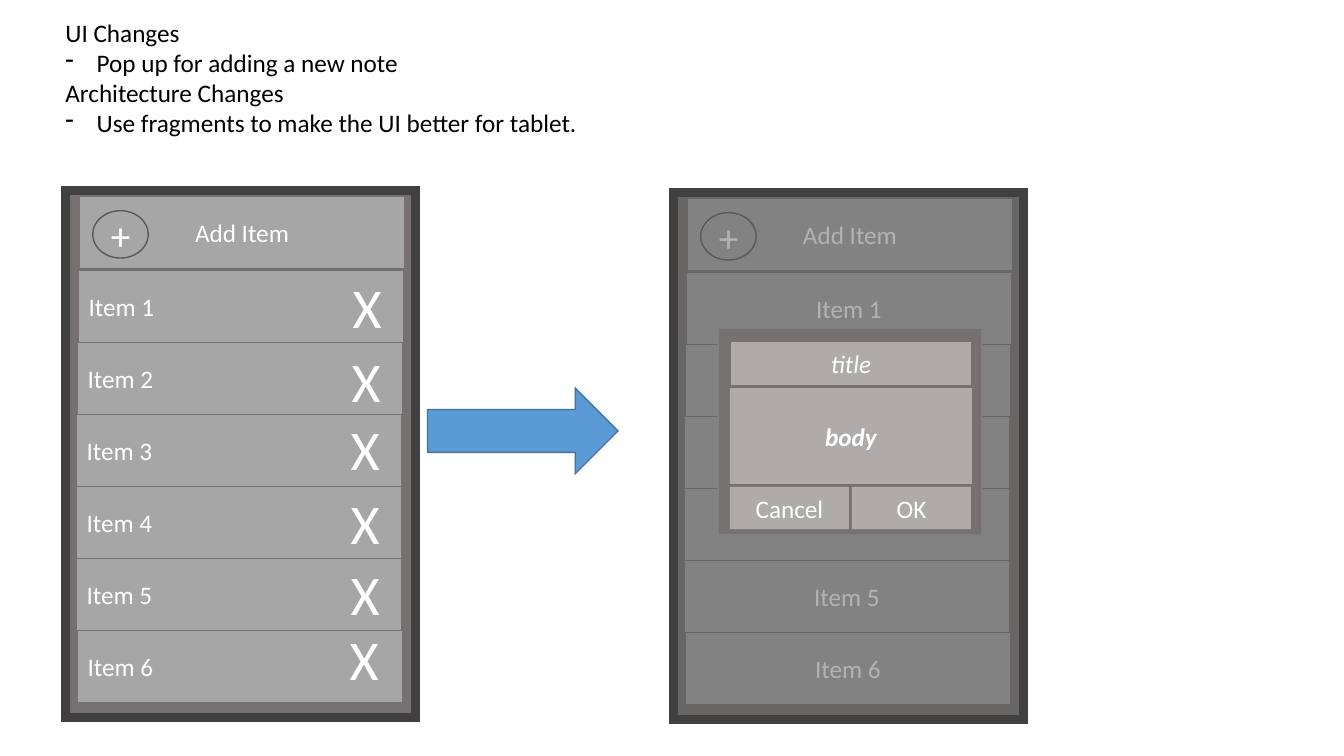
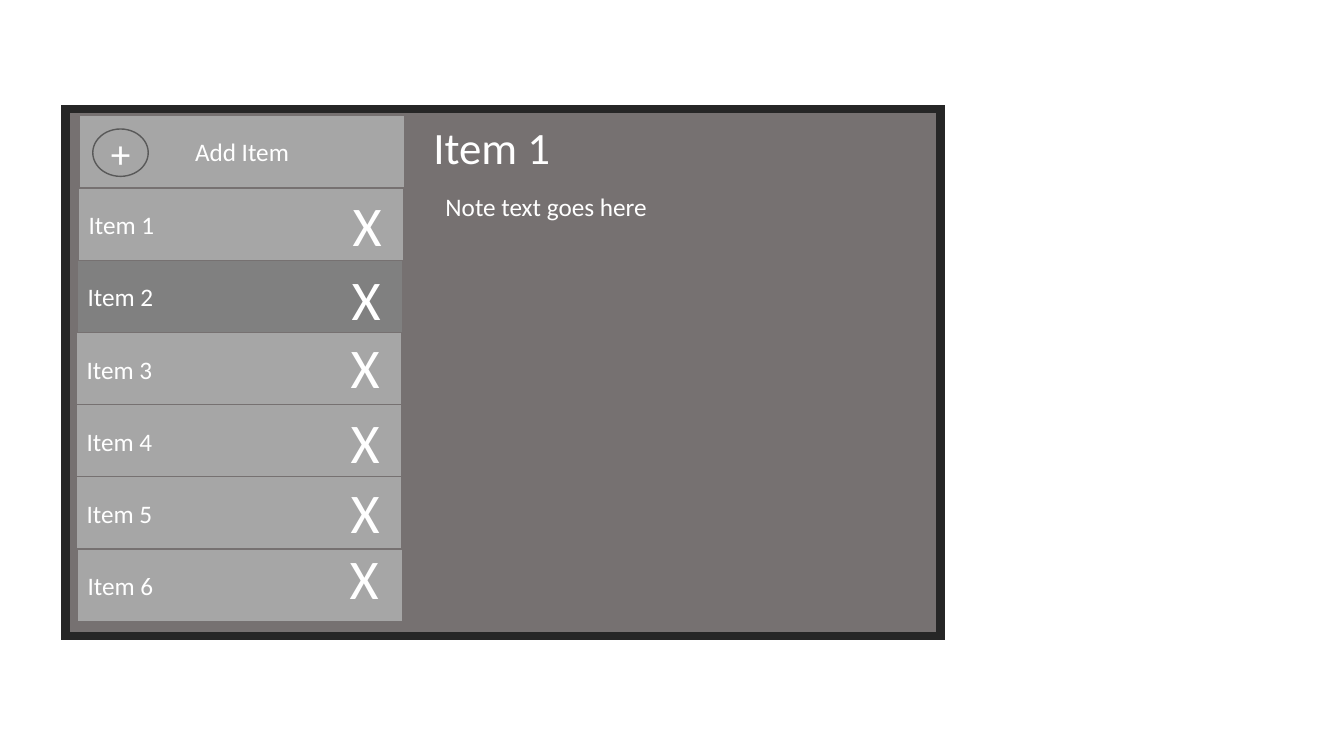
from lxml import etree
from pptx import Presentation
from pptx import util as u
from pptx.dml.color import RGBColor
from pptx.enum import shapes, text
from pptx.oxml.ns import qn

WHITE = RGBColor(0xFF, 0xFF, 0xFF)
BLACK = RGBColor(0x00, 0x00, 0x00)
PANEL = RGBColor(0x76, 0x71, 0x71)
ROW_FILL = RGBColor(0xA6, 0xA6, 0xA6)
SELECTED = RGBColor(0x80, 0x80, 0x80)
FIELD = RGBColor(0xAF, 0xAB, 0xAB)
SHADE = RGBColor(0x59, 0x59, 0x59)
PHONE_EDGE = RGBColor(0x40, 0x40, 0x40)
TABLET_EDGE = RGBColor(0x26, 0x26, 0x26)
BLUE = RGBColor(0x5B, 0x9B, 0xD5)
BLUE_EDGE = RGBColor(0x43, 0x73, 0x9E)

FONT = "Calibri"
SLIDE_W, SLIDE_H = 13.33, 7.5
PHONE_W, TABLET_W, DEVICE_H = 3.47, 8.68, 5.23
ROW_W, ROW_H = 3.22, 0.72
FIRST_ROW, ROW_STEP = 0.79, 0.715
# Per item, from the device's left and top: row indent, delete mark left and top
ITEMS = [(0.13, 2.75, 0.76), (0.12, 2.74, 1.5), (0.11, 2.73, 2.17),
         (0.11, 2.73, 2.91), (0.11, 2.73, 3.61), (0.12, 2.72, 4.26)]
LEFT, CENTER = text.PP_ALIGN.LEFT, text.PP_ALIGN.CENTER
RECT = shapes.MSO_SHAPE.RECTANGLE


def write(p, words, size=18, color=WHITE, bold=None, italic=None, align=LEFT):
    """Put one formatted run into a paragraph."""
    p.alignment = align
    r = p.add_run()
    r.text = words
    f = r.font
    f.name, f.size, f.bold, f.italic = FONT, u.Pt(size), bold, italic
    f.color.rgb = color


def dash_bullet(p):
    """Give a paragraph a hanging dash."""
    pPr = p._p.get_or_add_pPr()
    indent = u.Inches(0.31)
    pPr.set("marL", str(indent))
    pPr.set("indent", str(-indent))
    etree.SubElement(pPr, qn("a:buChar")).set("char", "-")


def box(s, x, y, w, h, fill=None, line=None, width=1, kind=RECT, alpha=None,
        words=None, align=CENTER, **fmt):
    """Add a flat shape, with an optional middle-anchored label."""
    sp = s.shapes.add_shape(kind, *map(u.Inches, (x, y, w, h)))
    sp.shadow.inherit = False
    if fill is None:
        sp.fill.background()
    else:
        sp.fill.solid()
        sp.fill.fore_color.rgb = fill
    if alpha is not None:
        clr = sp._element.spPr.find(qn("a:solidFill")).find(qn("a:srgbClr"))
        etree.SubElement(clr, qn("a:alpha")).set("val", str(alpha * 1000))
    if line is None:
        sp.line.fill.background()
    else:
        sp.line.color.rgb = line
        sp.line.width = u.Pt(width)
        ln = sp._element.spPr.find(qn("a:ln"))
        etree.SubElement(ln, qn("a:miter")).set("lim", "800000")
    if words:
        tf = sp.text_frame
        tf.vertical_anchor = text.MSO_ANCHOR.MIDDLE
        write(tf.paragraphs[0], words, align=align, **fmt)
    return sp


def text_box(s, x, y, w, h, lines, **fmt):
    """Add a wrapping text box; lines that start with '-' become bullets."""
    tf = s.shapes.add_textbox(*map(u.Inches, (x, y, w, h))).text_frame
    tf.word_wrap = True
    tf.auto_size = text.MSO_AUTO_SIZE.SHAPE_TO_FIT_TEXT
    for i, words in enumerate(lines):
        p = tf.add_paragraph() if i else tf.paragraphs[0]
        write(p, words.lstrip("-"), **fmt)
        if words.startswith("-"):
            dash_bullet(p)


def note_list(s, x, y, align=LEFT, selected=None):
    """Draw the add row and the six item rows of a device."""
    box(s, x + 0.14, y + 0.06, ROW_W, ROW_H, ROW_FILL, PANEL, words="Add Item")
    for i, (indent, _, _) in enumerate(ITEMS):
        box(s, x + indent, y + FIRST_ROW + i * ROW_STEP, ROW_W, ROW_H,
            SELECTED if i + 1 == selected else ROW_FILL, PANEL,
            words=f"Item {i + 1}", align=align)
    box(s, x + 0.27, y + 0.2, 0.55, 0.47, line=SHADE,
        kind=shapes.MSO_SHAPE.OVAL, words="+", size=28)


def delete_marks(s, x, y):
    """Put an X at the right end of each item row."""
    for _, left, top in ITEMS:
        text_box(s, x + left, y + top, 2.3, 0.77, ["X"], size=40)


def popup(s, x, y):
    """Draw the dialog for a new note."""
    box(s, x, y, 2.62, 2.05, PANEL, SELECTED)
    left = x + 0.12
    box(s, left, y + 0.13, 2.4, 0.44, FIELD, PANEL, words="title", italic=True)
    box(s, left, y + 0.59, 2.4, 0.95, FIELD, words="body", bold=True, italic=True)
    for i, words in enumerate(("Cancel", "OK")):
        box(s, left + i * 1.21, y + 1.57, 1.18, 0.42, FIELD, words=words)


def phone_slide(s):
    """Show the phone list and the same list behind the dialog."""
    x, y = 0.65, 1.89
    box(s, x, y, PHONE_W, DEVICE_H, PANEL, PHONE_EDGE, 6)
    note_list(s, x, y)
    delete_marks(s, x, y)
    box(s, 4.24, 3.85, 1.89, 0.85, BLUE, BLUE_EDGE,
        kind=shapes.MSO_SHAPE.RIGHT_ARROW)

    x, y = 6.68, 1.91
    box(s, x, y, PHONE_W, DEVICE_H, PANEL, BLUE_EDGE)
    note_list(s, x, y, align=CENTER)
    box(s, x, y, PHONE_W, DEVICE_H, SHADE, PHONE_EDGE, 6, alpha=46)
    popup(s, x + 0.44, y + 1.35)

    text_box(s, 0.55, 0.12, 8.58, 1.62,
             ["UI Changes", "-Pop up for adding a new note",
              "Architecture Changes",
              "-Use fragments to make the UI better for tablet."], color=BLACK)


def tablet_slide(s):
    """Show the list and the open note side by side."""
    x, y = 0.65, 1.08
    box(s, x, y, TABLET_W, DEVICE_H, PANEL, TABLET_EDGE, 6)
    note_list(s, x, y, selected=2)
    delete_marks(s, x, y)
    text_box(s, 4.2, 1.14, 4.93, 0.64, ["Item 1"], size=32)
    text_box(s, 4.32, 1.85, 4.55, 0.4, ["Note text goes here"])


def main():
    """Build and save the deck."""
    prs = Presentation()
    prs.slide_width, prs.slide_height = u.Inches(SLIDE_W), u.Inches(SLIDE_H)
    blank = prs.slide_layouts.get_by_name("Blank")
    for build in (phone_slide, tablet_slide):
        build(prs.slides.add_slide(blank))
    prs.save("out.pptx")


main()
